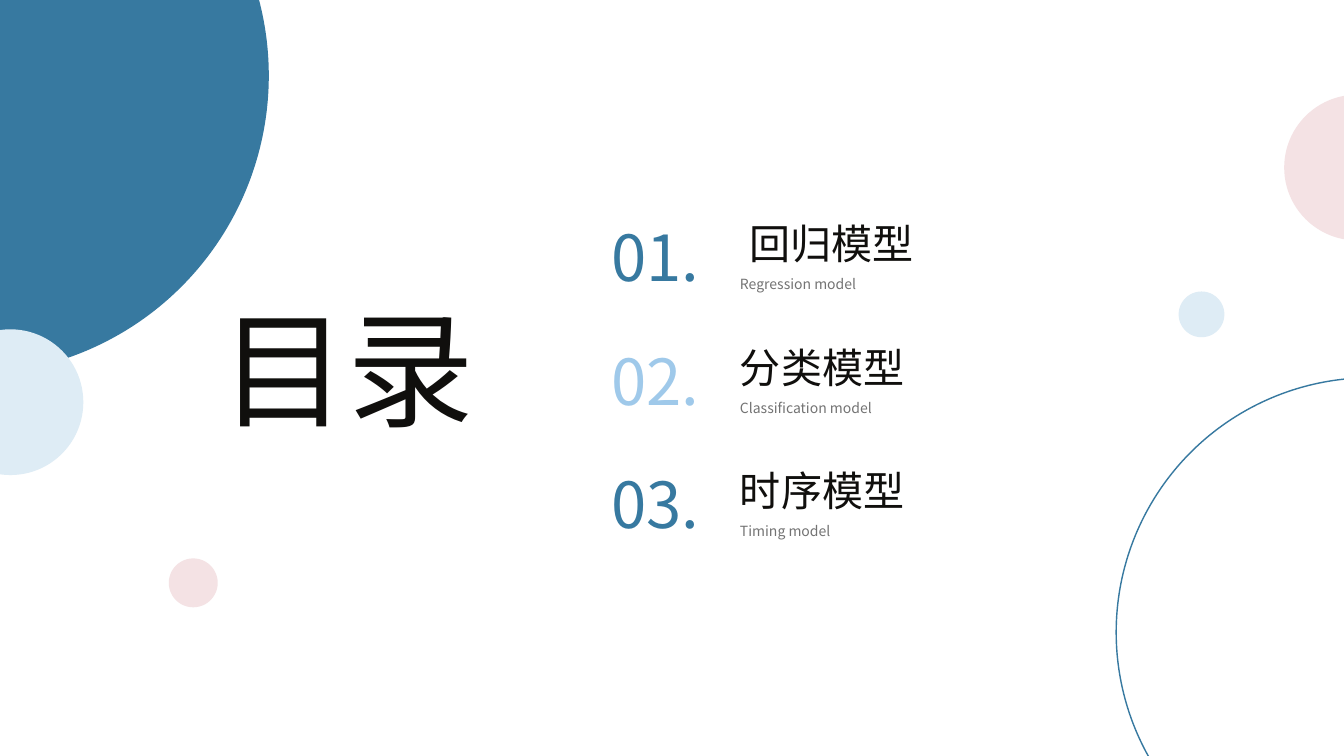
from dataclasses import dataclass
from typing import Optional

from pptx import Presentation
from pptx.dml.color import RGBColor
from pptx.enum.shapes import MSO_SHAPE
from pptx.enum.text import MSO_AUTO_SIZE, PP_ALIGN
from pptx.slide import Slide
from pptx.util import Cm, Pt


@dataclass(frozen=True)
class TextStyle:
    font: str
    size: float
    color: str


@dataclass(frozen=True)
class Theme:
    blue: str = "3779A0"
    sky: str = "9FC9EA"
    pale_blue: str = "DEECF5"
    pink: str = "F4E2E4"
    heading: TextStyle = TextStyle("Calibri", 135.9, "100F0D")
    topic: TextStyle = TextStyle("Calibri", 44, "100F0D")
    caption: TextStyle = TextStyle("Noto Sans CJK SC", 15, "737373")
    number_font: str = "Noto Sans CJK SC"
    number_size: float = 68
    outline_width: float = 1.5
    line_spacing: float = 1.2


@dataclass(frozen=True)
class Circle:
    left: float
    top: float
    diameter: float
    fill: Optional[str] = None
    outline: Optional[str] = None


@dataclass(frozen=True)
class Entry:
    topic: str
    caption: str
    number_color: str
    indent: float = 0


@dataclass(frozen=True)
class Area:
    left: float
    top: float
    width: float
    height: float


THEME = Theme()

CIRCLES = [
    Circle(-12.42, -8.43, 22.58, fill=THEME.blue),
    Circle(42.19, 14.28, 19.25, outline=THEME.blue),
    Circle(48.54, 3.58, 5.51, fill=THEME.pink),
    Circle(-2.36, 12.45, 5.51, fill=THEME.pale_blue),
    Circle(6.38, 21.11, 1.85, fill=THEME.pink),
    Circle(44.55, 11.02, 1.73, fill=THEME.pale_blue),
]

ENTRIES = [
    Entry("回归模型", "Regression model", THEME.blue, indent=0.35),
    Entry("分类模型", "Classification model", THEME.sky),
    Entry("时序模型", "Timing model", THEME.blue),
]

HEADING_AREA = Area(7.32, 11, 11.61, 5.77)
FIRST_ENTRY_TOP = 8.26
ENTRY_PITCH = 4.67
NUMBER_LEFT = 23.11
TOPIC_LEFT = 27.97
CAPTION_DROP = 2.17


def draw_circle(page: Slide, circle: Circle) -> None:
    shape = page.shapes.add_shape(
        MSO_SHAPE.OVAL, Cm(circle.left), Cm(circle.top),
        Cm(circle.diameter), Cm(circle.diameter),
    )
    shape.shadow.inherit = False
    if circle.fill:
        shape.fill.solid()
        shape.fill.fore_color.rgb = RGBColor.from_string(circle.fill)
    else:
        shape.fill.background()
    if circle.outline:
        shape.line.color.rgb = RGBColor.from_string(circle.outline)
        shape.line.width = Pt(THEME.outline_width)
    else:
        shape.line.fill.background()


def draw_text(page: Slide, text: str, area: Area, style: TextStyle,
              alignment: PP_ALIGN = PP_ALIGN.LEFT, indent: float = 0) -> None:
    box = page.shapes.add_textbox(
        Cm(area.left), Cm(area.top), Cm(area.width), Cm(area.height)
    )
    frame = box.text_frame
    frame.margin_left = Cm(indent)
    frame.margin_top = frame.margin_right = frame.margin_bottom = 0
    frame.word_wrap = True
    frame.auto_size = MSO_AUTO_SIZE.SHAPE_TO_FIT_TEXT
    para = frame.paragraphs[0]
    para.text = text
    para.alignment = alignment
    para.line_spacing = Pt(style.size * THEME.line_spacing)
    para.font.name = style.font
    para.font.size = Pt(style.size)
    para.font.color.rgb = RGBColor.from_string(style.color)


def draw_entry(page: Slide, position: int, entry: Entry) -> None:
    top = FIRST_ENTRY_TOP + position * ENTRY_PITCH
    number_style = TextStyle(THEME.number_font, THEME.number_size, entry.number_color)
    draw_text(page, entry.topic, Area(TOPIC_LEFT, top, 12.4, 1.88),
              THEME.topic, indent=entry.indent)
    draw_text(page, entry.caption,
              Area(TOPIC_LEFT, top + CAPTION_DROP, 16.59, 0.64), THEME.caption)
    draw_text(page, f"{position + 1:02d}.", Area(NUMBER_LEFT, top, 5.44, 2.9),
              number_style)


def main() -> None:
    deck = Presentation()
    deck.slide_width = Cm(50.8)
    deck.slide_height = Cm(28.58)
    page = deck.slides.add_slide(deck.slide_layouts[6])
    for circle in CIRCLES:
        draw_circle(page, circle)
    draw_text(page, "目录", HEADING_AREA, THEME.heading, PP_ALIGN.CENTER)
    for position, entry in enumerate(ENTRIES):
        draw_entry(page, position, entry)
    deck.save("out.pptx")


if __name__ == "__main__":
    main()
